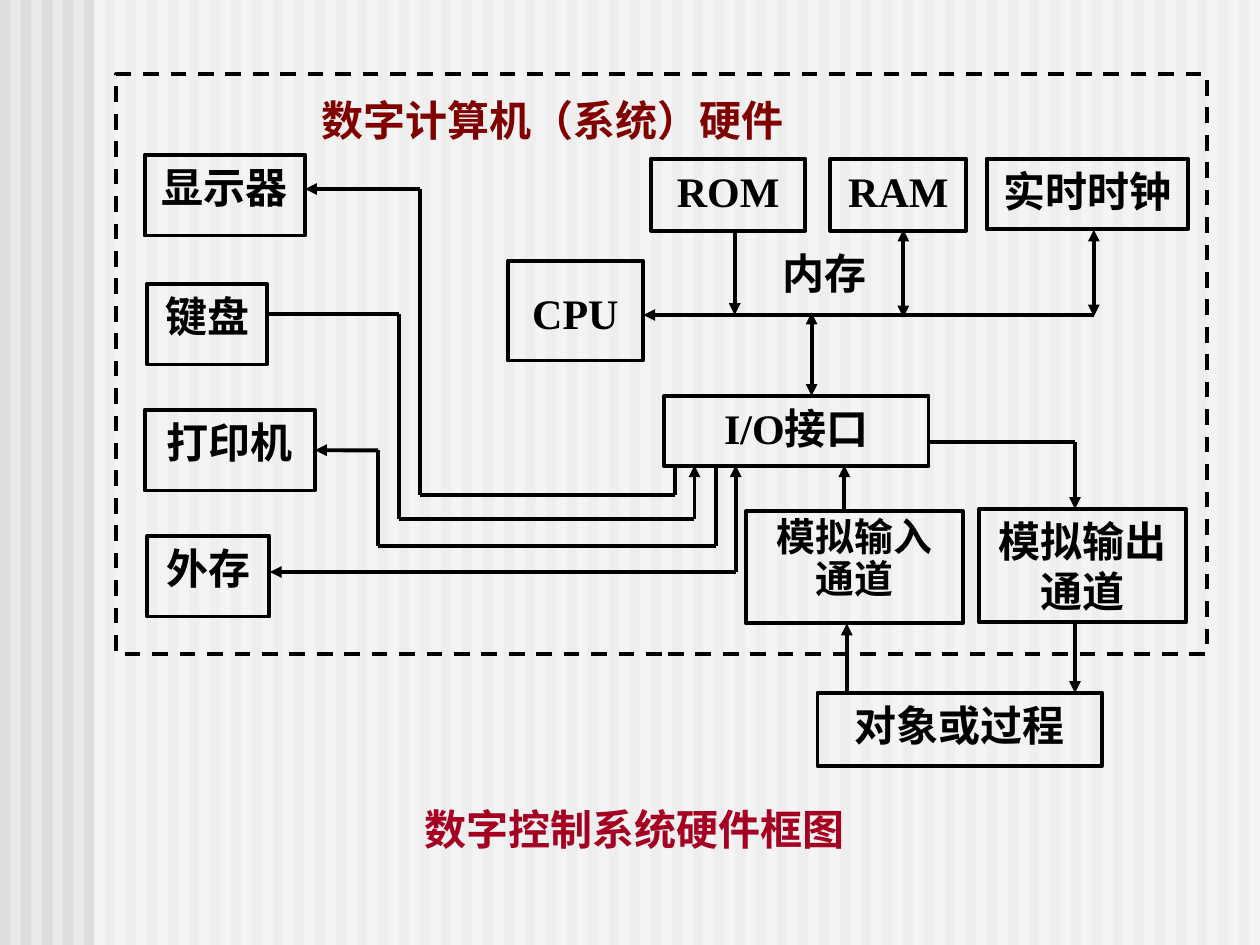
"""Build the hardware block diagram of a digital control system."""
import pptx
import pptx.dml.color
import pptx.enum.dml
import pptx.enum.shapes
import pptx.enum.text
import pptx.oxml.ns
import pptx.util
from lxml import etree

Cm, Pt = pptx.util.Cm, pptx.util.Pt
RECTANGLE = pptx.enum.shapes.MSO_SHAPE.RECTANGLE
STRAIGHT = pptx.enum.shapes.MSO_CONNECTOR.STRAIGHT
qn = pptx.oxml.ns.qn

WIDTH, HEIGHT = 25.4, 19.05
STRIPES = 60
BLACK = "000000"
VEIL = (1.9, 0, 23.5, HEIGHT)
FRAME = (2.34, 1.5, 22, 11.68)

TITLE = ("数字控制系统硬件框图", (6.35, 15.77, 12.9, 2.41), "A50021")
CAPTIONS = [
    ("数字计算机（系统）硬件", (6.15, 1.47, 9.96, 2.11), "800000"),
    ("内存", (15.04, 4.57, 3.15, 2.41), BLACK),
]
CAPTION_INSET, BOX_INSET = 0.43, 0.13

BOXES = {
    "显示器": (2.92, 3.12, 3.23, 1.63),
    "键盘": (2.97, 5.72, 2.41, 1.63),
    "打印机": (2.92, 8.26, 3.43, 1.63),
    "外存": (2.97, 10.8, 2.46, 1.63),
    "CPU": (10.24, 5.26, 2.72, 2.01),
    "ROM": (13.13, 3.2, 3.1, 1.45),
    "RAM": (16.74, 3.2, 2.74, 1.45),
    "实时时钟": (19.89, 3.2, 4.06, 1.42),
    "I/O接口": (13.39, 7.98, 5.33, 1.42),
    "模拟输入通道": (15.04, 10.31, 4.37, 2.26),
    "模拟输出通道": (19.74, 10.26, 4.17, 2.29),
    "对象或过程": (16.48, 13.97, 5.74, 1.47),
}
TOP_INSETS = {"CPU": 0.53}
TIGHT_TEXT = {"模拟输入通道": (22.2, 0.9)}

FORWARD, BOTH, PLAIN = "forward", "both", "plain"
PORT, BUS = 9.38, 6.35
ROUTES = [
    (FORWARD, [(13.61, PORT), (13.61, 9.98), (8.46, 9.98), (8.46, 3.81), (6.15, 3.81)]),
    (FORWARD, [(5.38, 6.33), (8.05, 6.33), (8.05, 10.46), (14, 10.46), (14, PORT)]),
    (FORWARD, [(14.43, PORT), (14.43, 11), (7.62, 11), (7.62, 9.08), (6.35, 9.08)]),
    (BOTH, [(5.44, 11.53), (14.83, 11.53), (14.83, PORT)]),
    (FORWARD, [(17.02, 10.31), (17.02, PORT)]),
    (FORWARD, [(18.7, 8.91), (21.67, 8.91), (21.67, 10.26)]),
    (FORWARD, [(17.07, 13.97), (17.07, 12.57)]),
    (FORWARD, [(21.67, 12.57), (21.67, 13.97)]),
    (FORWARD, [(22.05, BUS), (12.97, BUS)]),
    (FORWARD, [(14.81, 4.65), (14.81, BUS)]),
    (BOTH, [(18.21, 4.63), (18.21, 6.4)]),
    (BOTH, [(22.05, 4.63), (22.05, 6.38)]),
    (BOTH, [(16.36, 6.3), (16.36, 7.98)]),
]
GLUED_ENDS = {(6.35, 9.08): ("打印机", 3)}


def color(value):
    return pptx.dml.color.RGBColor.from_string(value)


def add_rectangle(page, place, fill=None, outlined=False):
    box = page.shapes.add_shape(RECTANGLE, *map(Cm, place))
    box.shadow.inherit = False
    if fill:
        box.fill.solid()
        box.fill.fore_color.rgb = color(fill)
    else:
        box.fill.background()
    if outlined:
        box.line.color.rgb = color(BLACK)
        box.line.width = Pt(2.25)
    else:
        box.line.fill.background()
    return box


def write(box, text, ink, top, size=24, spacing=1):
    frame = box.text_frame
    frame.word_wrap = True
    frame.auto_size = pptx.enum.text.MSO_AUTO_SIZE.NONE
    frame.vertical_anchor = pptx.enum.text.MSO_ANCHOR.TOP
    frame.margin_left = frame.margin_right = Cm(0.25)
    frame.margin_top, frame.margin_bottom = Cm(top), Cm(0.13)
    frame.text = text
    paragraph = frame.paragraphs[0]
    paragraph.alignment = pptx.enum.text.PP_ALIGN.CENTER
    paragraph.line_spacing = spacing
    font = paragraph.font
    font.name, font.size, font.bold = "Times New Roman", Pt(size), True
    font.color.rgb = color(ink)


def add_route(page, points, arrows, boxes):
    segments = list(zip(points, points[1:]))
    for index, (start, end) in enumerate(segments):
        line = page.shapes.add_connector(STRAIGHT, *map(Cm, start + end))
        if end in GLUED_ENDS:
            name, side = GLUED_ENDS[end]
            line.end_connect(boxes[name], side)
        line.line.color.rgb = color(BLACK)
        line.line.width = Pt(2.25)
        outline = line.line._get_or_add_ln()
        if arrows == BOTH and index == 0:
            etree.SubElement(outline, qn("a:headEnd"), type="triangle")
        if arrows != PLAIN and index == len(segments) - 1:
            etree.SubElement(outline, qn("a:tailEnd"), type="triangle")
        etree.SubElement(line._element.spPr, qn("a:effectLst"))


def add_backdrop(page):
    page.background.fill.solid()
    page.background.fill.fore_color.rgb = color("EAEAEA")
    pitch = WIDTH / STRIPES
    for index in range(STRIPES):
        add_rectangle(page, (index * pitch, 0, pitch / 2, HEIGHT), "DDDDDD")
    veil = add_rectangle(page, VEIL, "FFFFFF")
    tint = veil._element.spPr.find(".//" + qn("a:srgbClr"))
    etree.SubElement(tint, qn("a:alpha"), val="50000")


def add_title(page):
    text, place, ink = TITLE
    title = page.shapes.title
    title.left, title.top, title.width, title.height = map(Cm, place)
    write(title, text, ink, CAPTION_INSET)
    page.shapes._spTree.append(title._element)


def main():
    deck = pptx.Presentation()
    deck.slide_width, deck.slide_height = Cm(WIDTH), Cm(HEIGHT)
    page = deck.slides.add_slide(deck.slide_layouts[5])
    add_backdrop(page)
    add_title(page)
    for text, place, ink in CAPTIONS:
        box = page.shapes.add_textbox(*map(Cm, place))
        write(box, text, ink, CAPTION_INSET)
    frame = add_rectangle(page, FRAME, outlined=True)
    frame.line.dash_style = pptx.enum.dml.MSO_LINE.DASH
    boxes = {}
    for text, place in BOXES.items():
        boxes[text] = add_rectangle(page, place, outlined=True)
        top = TOP_INSETS.get(text, BOX_INSET)
        write(boxes[text], text, BLACK, top, *TIGHT_TEXT.get(text, ()))
    for arrows, points in ROUTES:
        add_route(page, points, arrows, boxes)
    deck.save("out.pptx")


if __name__ == "__main__":
    main()
